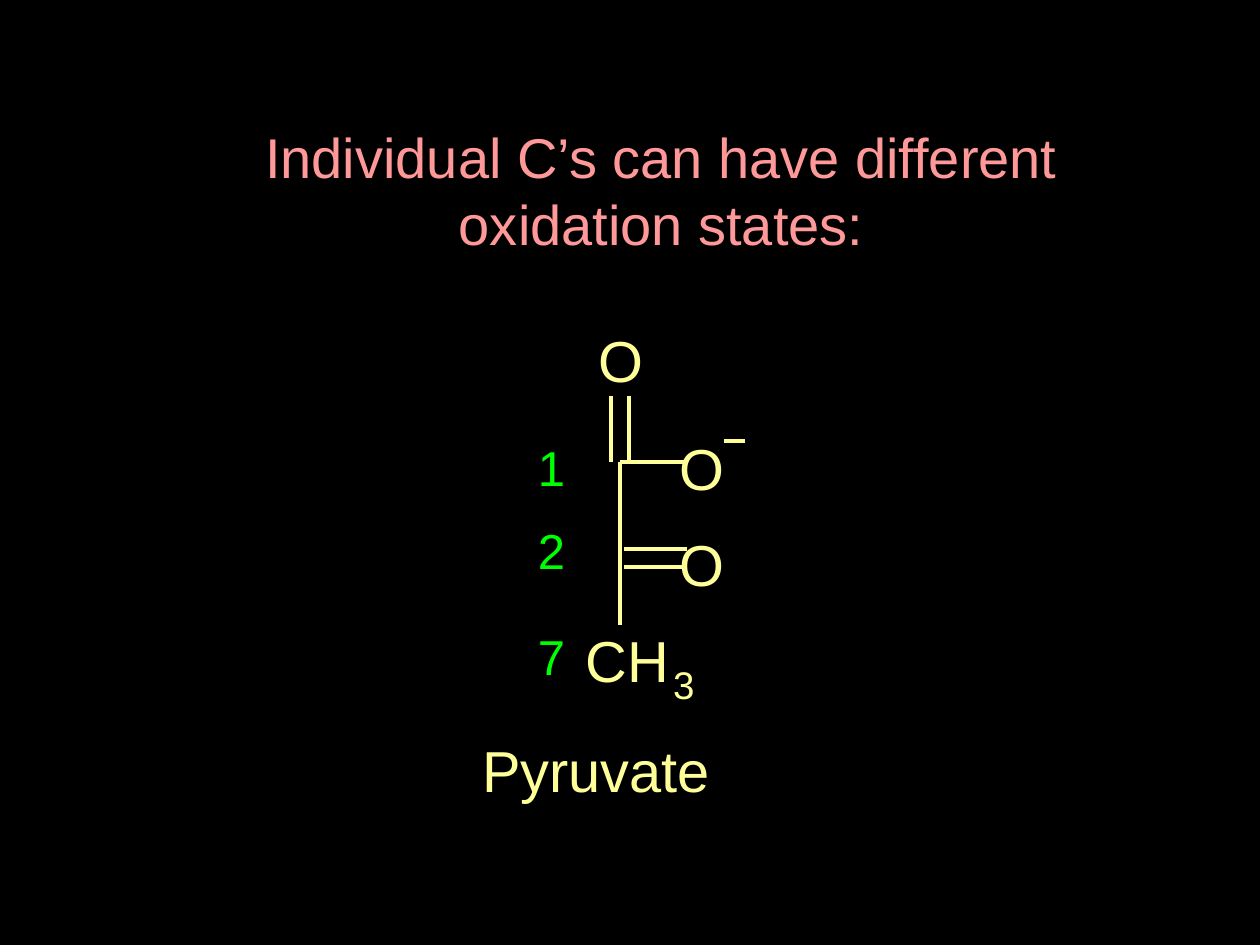
from dataclasses import dataclass

from pptx import Presentation
from pptx.dml.color import RGBColor
from pptx.enum.shapes import MSO_CONNECTOR
from pptx.enum.text import MSO_ANCHOR, MSO_AUTO_SIZE, PP_ALIGN
from pptx.oxml.ns import qn
from pptx.util import Emu, Pt
from lxml.etree import SubElement

EMU_PER_PX = 914400 / 126


@dataclass(frozen=True)
class Theme:
    font: str = "Arial"
    background: str = "000000"
    title: str = "FF9999"
    number: str = "00FF00"
    molecule: str = "FFFF99"
    title_size: int = 32
    number_size: int = 28
    atom_size: int = 33
    subscript_size: int = 22
    bond_width: float = 1.88


THEME = Theme()


def px(n):
    return Emu(round(n * EMU_PER_PX))


def place(sp, left, top, width, height):
    sp.left, sp.top, sp.width, sp.height = map(px, (left, top, width, height))


def set_text(sp, text, size, color, align, wrap):
    tf = sp.text_frame
    tf.text = text
    tf.word_wrap = wrap
    tf.auto_size = MSO_AUTO_SIZE.SHAPE_TO_FIT_TEXT
    tf.vertical_anchor = MSO_ANCHOR.TOP
    p = tf.paragraphs[0]
    p.alignment = align
    p.space_before = Pt(0)
    font = p.runs[0].font
    font.name = THEME.font
    font.size = Pt(size)
    font.color.rgb = RGBColor.from_string(color)
    return tf


def add_title(slide, text):
    sp = slide.shapes.title
    place(sp, 147, 116, 1029, 147)
    set_text(sp, text, THEME.title_size, THEME.title, PP_ALIGN.CENTER, True)


def add_number(slide, text, top):
    sp = slide.shapes.add_textbox(px(525), px(top), px(53), px(72))
    set_text(sp, text, THEME.number_size, THEME.number, PP_ALIGN.CENTER, False)


def add_label(slide, text, left, top, width, height=69, size=THEME.atom_size):
    sp = slide.shapes.add_textbox(px(left), px(top), px(width), px(height))
    tf = set_text(sp, text, size, THEME.molecule, PP_ALIGN.LEFT, False)
    tf.margin_left = tf.margin_top = tf.margin_right = tf.margin_bottom = 0


def add_line(slide, x1, y1, x2, y2, width=THEME.bond_width):
    line = slide.shapes.add_connector(
        MSO_CONNECTOR.STRAIGHT, px(x1), px(y1), px(x2), px(y2))
    line.line.color.rgb = RGBColor.from_string(THEME.molecule)
    line.line.width = Pt(width)
    SubElement(line._element.spPr, qn("a:effectLst"))


def add_molecule(slide):
    chain_x, carbon_1, carbon_2, methyl = 620, 462, 558, 625
    oxygen_x = 687

    add_line(slide, chain_x, carbon_1, chain_x, carbon_2)
    add_line(slide, chain_x, carbon_2, chain_x, methyl)
    add_line(slide, chain_x, carbon_1, oxygen_x, carbon_1)
    for offset in (-9, 9):
        add_line(slide, chain_x + offset, carbon_1, chain_x + offset, 396)
        add_line(slide, chain_x + 4, carbon_2 + offset,
                 oxygen_x, carbon_2 + offset)

    for left, top in ((598, 325), (679, 433), (679, 529)):
        add_label(slide, "O", left, top, 45)
    for text, left in (("C", 586), ("H", 627)):
        add_label(slide, text, left, methyl, 42)
    add_label(slide, "3", 673, 661, 21, 47, THEME.subscript_size)
    add_line(slide, 724, 441, 745, 441, 0)


def main():
    prs = Presentation()
    prs.slide_width, prs.slide_height = px(1260), px(945)
    slide = prs.slides.add_slide(prs.slide_layouts[5])
    fill = slide.background.fill
    fill.solid()
    fill.fore_color.rgb = RGBColor.from_string(THEME.background)

    add_title(slide, "Individual C’s can have different oxidation states:")
    for text, top in (("1", 431), ("2", 514), ("7", 620)):
        add_number(slide, text, top)
    add_molecule(slide)
    add_label(slide, "Pyruvate", 482, 735, 230)
    prs.save("out.pptx")


if __name__ == "__main__":
    main()
